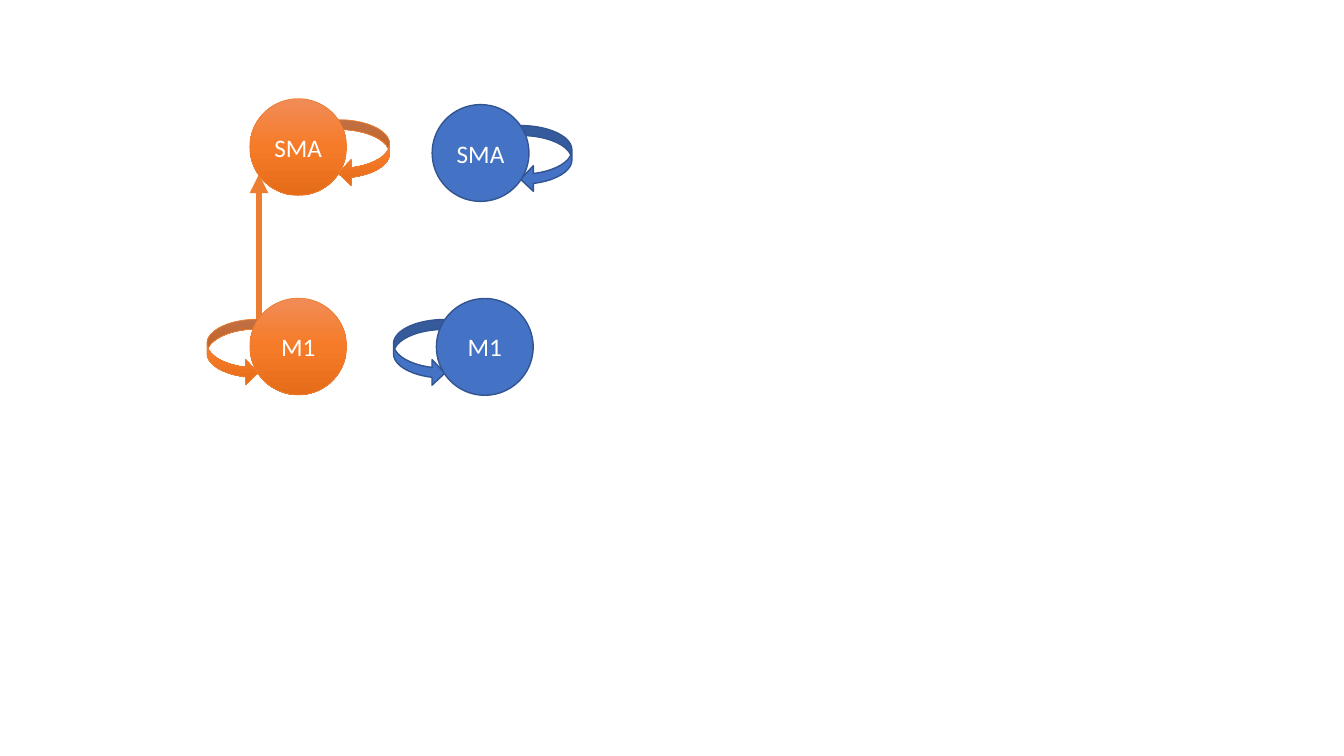
from copy import deepcopy

from lxml.etree import SubElement
from pptx import Presentation
from pptx.dml.color import RGBColor
from pptx.enum.shapes import MSO_CONNECTOR, MSO_SHAPE
from pptx.enum.text import MSO_ANCHOR, PP_ALIGN
from pptx.oxml.ns import qn
from pptx.util import Pt

WHITE = RGBColor(0xFF, 0xFF, 0xFF)
ORANGE = RGBColor(0xED, 0x7D, 0x31)
LIGHT = RGBColor(0xF1, 0x8C, 0x57)
VIVID = RGBColor(0xF6, 0x7B, 0x28)
DEEP = RGBColor(0xE5, 0x6C, 0x19)
BLUE = RGBColor(0x44, 0x72, 0xC4)
NAVY = RGBColor(0x32, 0x54, 0x91)

WARM = {"fills": [LIGHT, VIVID, DEEP], "edge": ORANGE, "width": 0.5}
COOL = {"fills": [BLUE], "edge": NAVY, "width": 1}

BALL = 69.1
LOOP_W, LOOP_H = 36.7, 47.5
REACH, DROP = 30.7, 15


def write(shape, text, font="Calibri", size=18, color=WHITE):
    frame = shape.text_frame
    frame.vertical_anchor = MSO_ANCHOR.MIDDLE
    para = frame.paragraphs[0]
    para.alignment = PP_ALIGN.CENTER
    run = para.add_run()
    run.text = text
    run.font.name = font
    run.font.size = Pt(size)
    run.font.color.rgb = color


def paint(shape, fills, edge, width):
    shape.shadow.inherit = False
    shape.line.color.rgb = edge
    shape.line.width = Pt(width)
    if len(fills) == 1:
        shape.fill.solid()
        shape.fill.fore_color.rgb = fills[0]
        return
    shape.fill.gradient()
    shape.fill.gradient_angle = 270
    first = shape._element.spPr.find(".//" + qn("a:gs"))
    first.addnext(deepcopy(first))
    for i, (stop, color) in enumerate(zip(shape.fill.gradient_stops, fills)):
        stop.color.rgb = color
        stop.position = i / (len(fills) - 1)


def add_node(group, text, left, top, style, flip=False):
    side = left + BALL + REACH - LOOP_W if flip else left - REACH
    loop = group.shapes.add_shape(
        MSO_SHAPE.CURVED_RIGHT_ARROW,
        Pt(side), Pt(top + DROP), Pt(LOOP_W), Pt(LOOP_H))
    for i, value in enumerate([0.193, 0.5, 0.25]):
        loop.adjustments[i] = value
    ball = group.shapes.add_shape(
        MSO_SHAPE.OVAL, Pt(left), Pt(top), Pt(BALL), Pt(BALL))
    for shape in (loop, ball):
        paint(shape, **style)
        if flip:
            shape._element.spPr.xfrm.set("flipH", "1")
    write(ball, text)


def add_link(slide, x, start, end):
    link = slide.shapes.add_connector(
        MSO_CONNECTOR.STRAIGHT, Pt(x), Pt(start), Pt(x), Pt(end))
    link.line.color.rgb = ORANGE
    link.line.width = Pt(4.5)
    SubElement(link.line._get_or_add_ln(), qn("a:tailEnd"), type="triangle")
    SubElement(link._element.spPr, qn("a:effectLst"))


def add_warm(slide, left, top):
    low = top + 142.5
    add_link(slide, left + 6.5, low + DROP, top + 54)
    add_node(slide.shapes.add_group_shape(), "M1", left, low, WARM)
    add_node(slide.shapes.add_group_shape(), "SMA", left, top, WARM, flip=True)


def add_cool(slide, left, top):
    group = slide.shapes.add_group_shape()
    add_node(group, "M1", left + 3, top + 138.5, COOL)
    add_node(group, "SMA", left, top, COOL, flip=True)


def main():
    deck = Presentation()
    deck.slide_width, deck.slide_height = Pt(960), Pt(540)
    slide = deck.slides.add_slide(deck.slide_layouts[6])
    add_warm(slide, 178.5, 70.5)
    add_cool(slide, 308.75, 74.75)
    deck.save("out.pptx")


if __name__ == "__main__":
    main()
